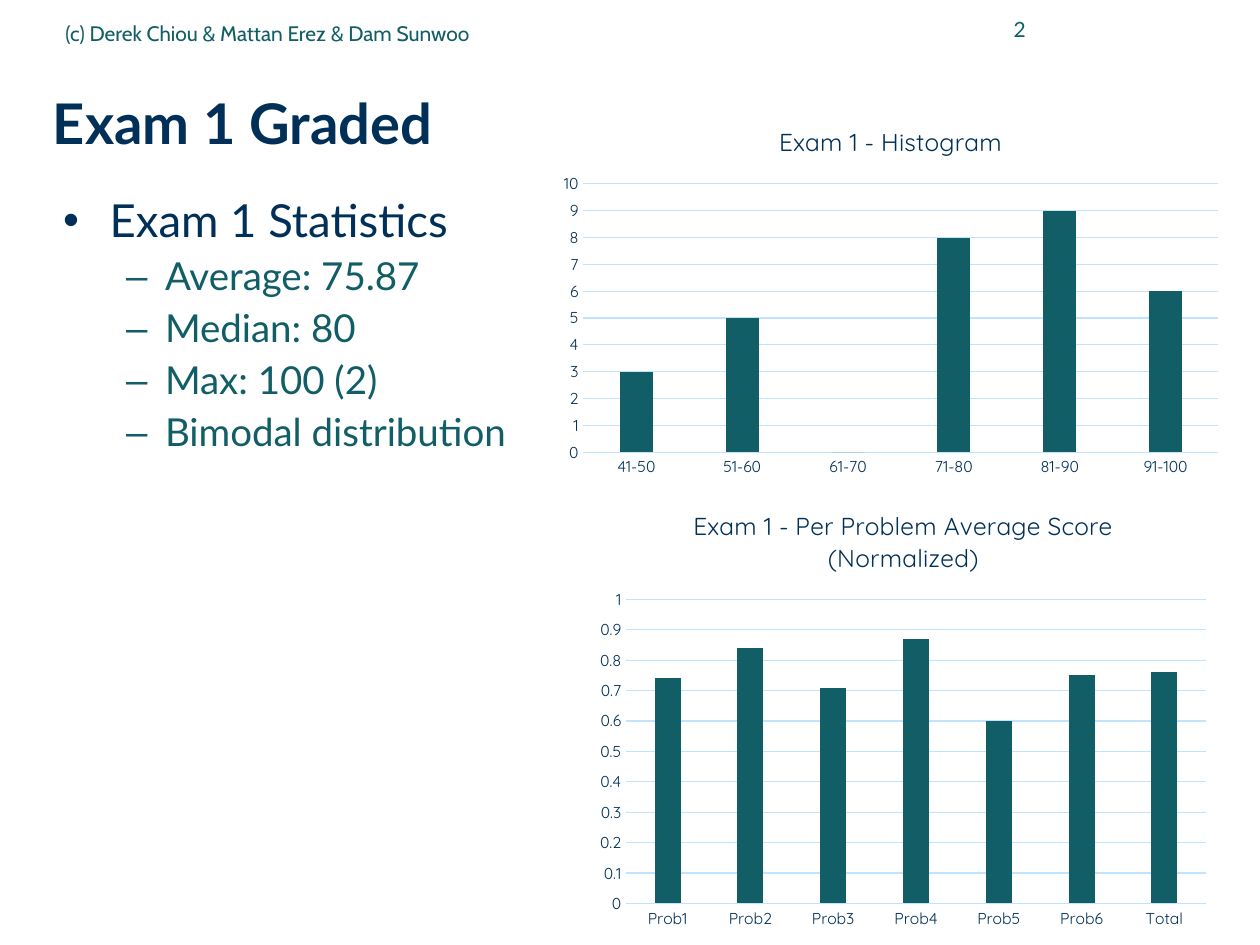
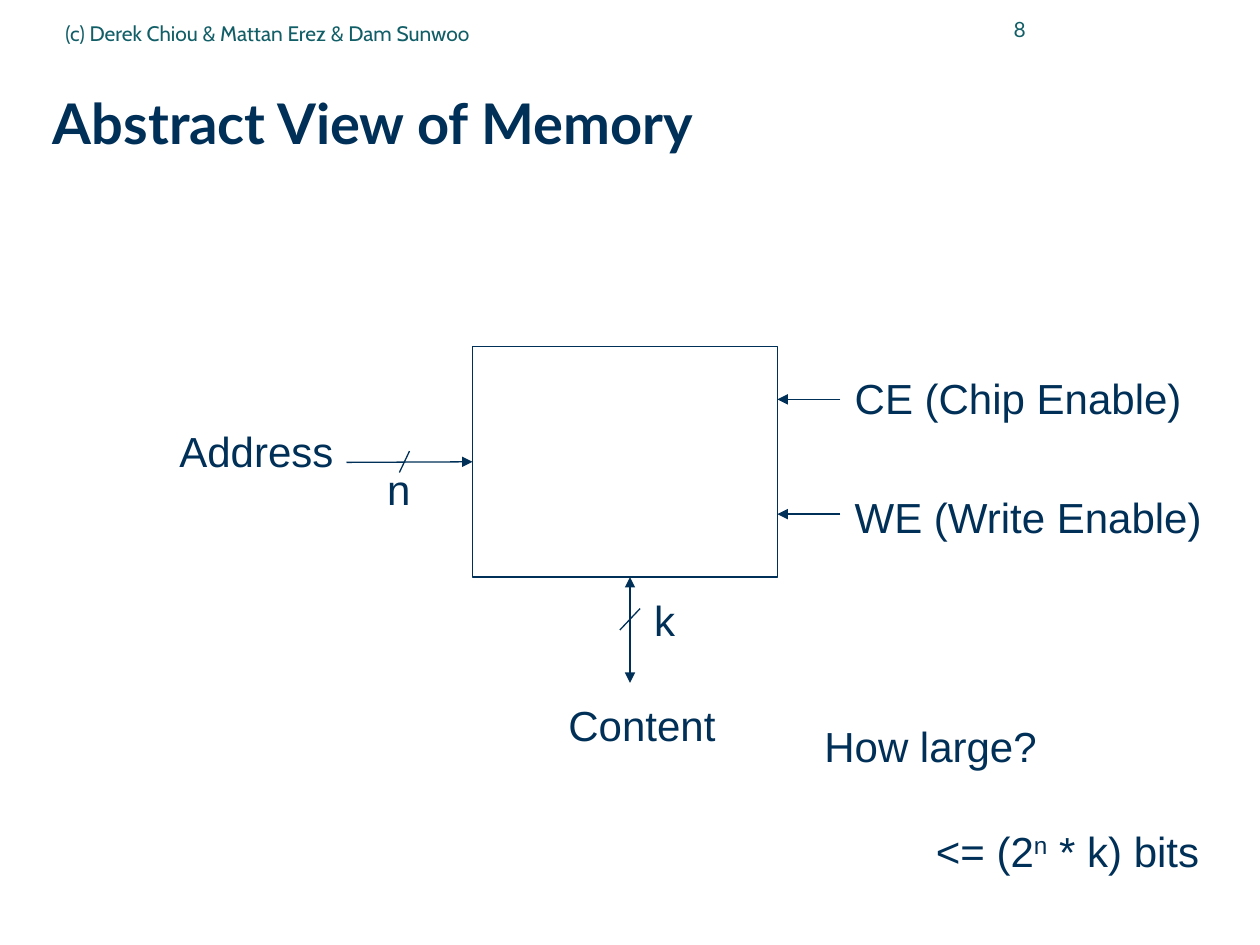
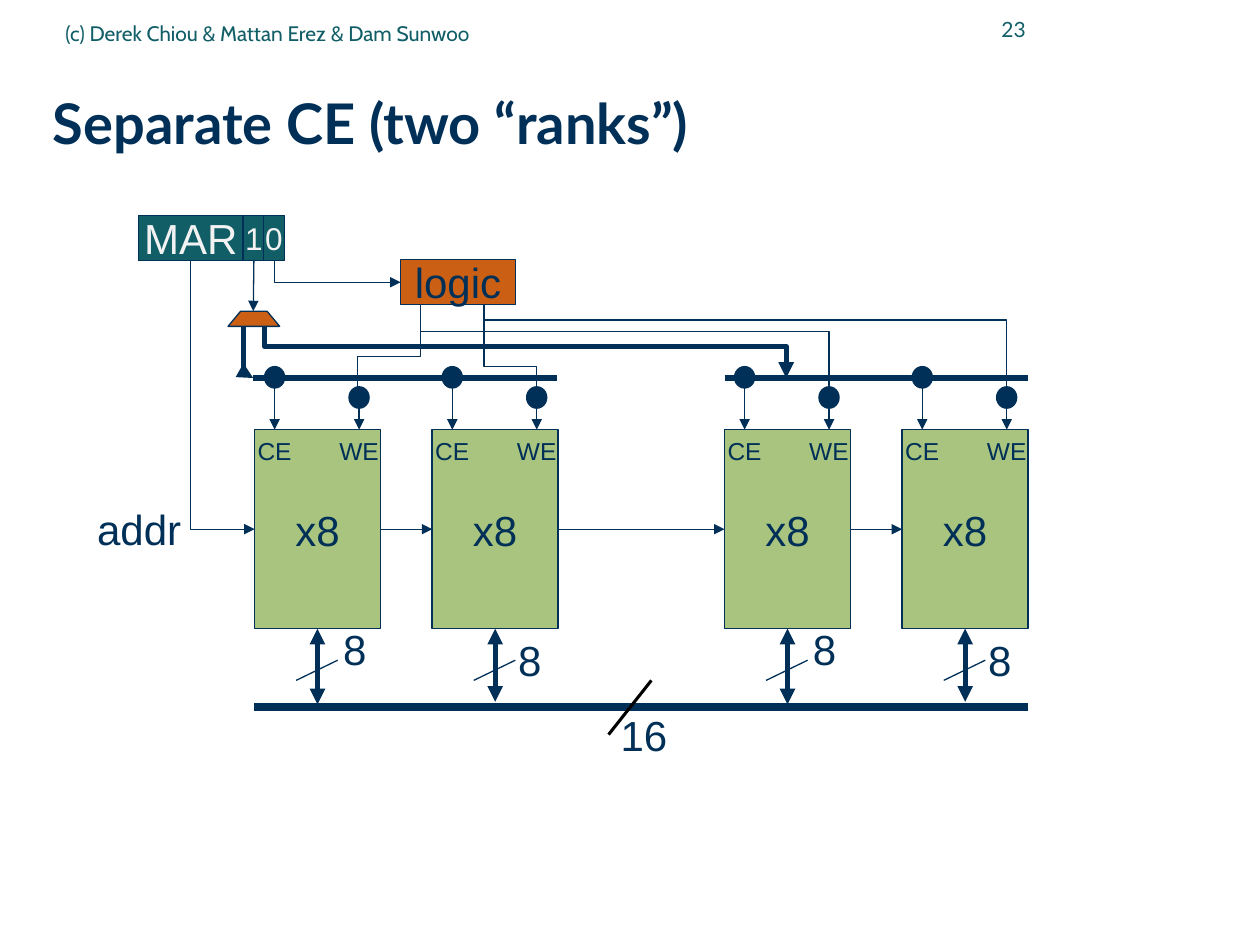
from typing import NamedTuple, Optional

from pptx import Presentation
from pptx.chart.data import CategoryChartData
from pptx.dml.color import RGBColor
from pptx.enum.chart import XL_CHART_TYPE as CHART, XL_TICK_MARK as TICK
from pptx.enum.shapes import MSO_CONNECTOR as CXN, MSO_SHAPE as SHAPE
from pptx.enum.text import MSO_ANCHOR as ANCHOR, MSO_AUTO_SIZE as FIT, PP_ALIGN as ALIGN
from pptx.oxml import parse_xml
from pptx.oxml.ns import nsdecls, qn
from pptx.util import Inches, Pt

COLORS = {
    "navy": "003057",
    "teal": "115E67",
    "green": "A9C47F",
    "orange": "CB6015",
    "pale": "F2F2F2",
    "grid": "C0E3FF",
    "black": "000000",
}
FOOTER = "(c) Derek Chiou & Mattan Erez & Dam Sunwoo"
TITLE_AND_BODY, TITLE_ONLY = 1, 5

Point = tuple[float, float]
Box = tuple[float, float, float, float]


class Bullet(NamedTuple):
    char: str
    size: float
    color: str
    margin: float
    hanging: float
    before: float


class ColumnChart(NamedTuple):
    title: str
    box: Box
    plot: Box  # fractions of the chart area
    categories: list[str]
    values: list[float]
    top: float
    step: float


class Label(NamedTuple):
    text: str
    left: float
    top: float
    width: float


class Chip(NamedTuple):
    left: float
    bus_end: float
    width_label: Point  # offset from the chip's left, and top


BULLETS = [
    Bullet("•", 26, "navy", 0.37, 0.37, 6.5),
    Bullet("–", 22, "teal", 0.81, 0.31, 6),
]
STATISTICS = [
    ("Exam 1 Statistics", 0),
    ("Average: 75.87", 1),
    ("Median: 80", 1),
    ("Max: 100 (2)", 1),
    ("Bimodal distribution", 1),
]
CHARTS = [
    ColumnChart("Exam 1 - Histogram", (4.36, 0.83, 5.42, 3), (0.05, 0.21, 0.93, 0.71),
                ["41-50", "51-60", "61-70", "71-80", "81-90", "91-100"],
                [3, 5, 0, 8, 9, 6], 10, 1),
    ColumnChart("Exam 1 - Per Problem Average Score (Normalized)",
                (4.67, 3.87, 5, 3.55), (0.06, 0.25, 0.92, 0.68),
                [f"Prob{i}" for i in range(1, 7)] + ["Total"],
                [0.74, 0.84, 0.71, 0.87, 0.6, 0.75, 0.76], 1, 0.1),
]
MEMORY_LABELS = [
    Label("Address", 1.32, 3.33, 1.43),
    Label("n", 2.97, 3.63, 0.39),
    Label("CE (Chip Enable)", 6.67, 2.91, 2.82),
    Label("WE (Write Enable)", 6.67, 3.85, 2.98),
    Label("k", 5.09, 4.67, 0.37),
    Label("How large?", 6.44, 5.67, 1.89),
    Label("Content", 4.41, 5.5, 1.37),
]
CHIP_TOP, CHIP_WIDTH, CHIP_HEIGHT = 3.41, 1, 1.58
CHIP_BOTTOM = CHIP_TOP + CHIP_HEIGHT
RAIL_Y = 3
CHIPS = [
    Chip(bank + offset, bus_end, width_label)
    for bank in (2.02, 5.75)
    for offset, bus_end, width_label in ((0, 5.59, (0.6, 4.9)), (1.41, 5.57, (0.58, 4.99)))
]


def rgb(name: str) -> RGBColor:
    return RGBColor.from_string(COLORS[name])


def inches(box: Box) -> list[int]:
    return [Inches(v) for v in box]


def set_font(font, size: float, name: str, color: str, bold: bool = False) -> None:
    font.size, font.name, font.bold = Pt(size), name, bold
    font.color.rgb = rgb(color)


def add_text(p, text: str, *, size: float = 24, font: str = "Arial", color: str = "navy",
             bold: bool = False, align=None, raised: int = 0):
    """Add a run; raised is a superscript height in percent."""
    r = p.add_run()
    r.text = text
    set_font(r.font, size, font, color, bold)
    if align is not None:
        p.alignment = align
    if raised:
        r.font._element.set("baseline", str(raised * 1000))
    return r


def clear_margins(tf) -> None:
    tf.margin_left = tf.margin_right = tf.margin_top = tf.margin_bottom = 0


def place(shape, box: Box) -> None:
    shape.left, shape.top, shape.width, shape.height = inches(box)


def text_box(s, box: Box, wrap: bool = False, grow: bool = True):
    tf = s.shapes.add_textbox(*inches(box)).text_frame
    tf.word_wrap = wrap
    tf.auto_size = FIT.SHAPE_TO_FIT_TEXT if grow else FIT.NONE
    if not grow:
        tf.vertical_anchor = ANCHOR.MIDDLE
    return tf


def add_label(s, label: Label) -> None:
    tf = text_box(s, (label.left, label.top, label.width, 0.5))
    add_text(tf.paragraphs[0], label.text, align=ALIGN.CENTER)


def style_line(shape, width: float, color: str, head: bool, tail: bool) -> None:
    shape.line.color.rgb = rgb(color)
    shape.line.width = Pt(width)
    ln = shape.element.spPr.get_or_add_ln()
    for tag, wanted in (("headEnd", head), ("tailEnd", tail)):
        if wanted:
            ln.append(parse_xml(f'<a:{tag} {nsdecls("a")} type="triangle"/>'))


def add_line(s, start: Point, end: Point, *, width: float = 0.75, color: str = "navy",
             head: bool = False, tail: bool = False, kind=CXN.STRAIGHT,
             begin: Optional[tuple] = None, finish: Optional[tuple] = None):
    """Draw a connector; begin and finish are (shape, side) joints."""
    cxn = s.shapes.add_connector(kind, *inches((*start, *end)))
    style_line(cxn, width, color, head, tail)
    cxn.element.spPr.append(parse_xml(f'<a:effectLst {nsdecls("a")}/>'))
    if begin:
        cxn.begin_connect(*begin)
    if finish:
        cxn.end_connect(*finish)
    return cxn


def add_corner_arrow(s, start: Point, end: Point, source, target) -> None:
    """Go down from the source's bottom, then right into the target's left side."""
    cxn = add_line(s, start, end, tail=True, kind=CXN.ELBOW,
                   begin=(source, 2), finish=(target, 1))
    across, down = end[0] - start[0], end[1] - start[1]
    mid_x, mid_y = start[0] + across / 2, start[1] + down / 2
    place(cxn, (mid_x - down / 2, mid_y - across / 2, down, across))
    spPr = cxn.element.spPr
    spPr.find(qn("a:prstGeom")).set("prst", "bentConnector2")
    xfrm = spPr.find(qn("a:xfrm"))
    xfrm.set("rot", str(270 * 60000))
    xfrm.set("flipH", "1")


def finish_shape(shape, fill: Optional[str], width: float = 0.75, tail: bool = False) -> None:
    shape.shadow.inherit = False
    if fill:
        shape.fill.solid()
        shape.fill.fore_color.rgb = rgb(fill)
    else:
        shape.fill.background()
    style_line(shape, width, "navy", False, tail)


def add_box(s, box: Box, fill: Optional[str] = None, text: str = "", *,
            kind=SHAPE.RECTANGLE, **text_format):
    shape = s.shapes.add_shape(kind, *inches(box))
    finish_shape(shape, fill)
    if text:
        tf = shape.text_frame
        tf.word_wrap = False
        tf.vertical_anchor = ANCHOR.MIDDLE
        add_text(tf.paragraphs[0], text, align=ALIGN.CENTER, **text_format)
    return shape


def add_path(s, points: list[Point], *, fill: Optional[str] = None, width: float = 0.75,
             tail: bool = False, close: bool = False) -> None:
    first, *rest = [(Inches(x), Inches(y)) for x, y in points]
    builder = s.shapes.build_freeform(*first)
    builder.add_line_segments(rest, close=close)
    finish_shape(builder.convert_to_shape(), fill, width, tail)


def start_slide(prs, layout: int, title: str, number: int):
    """Add a slide with its title, slide number and footer."""
    s = prs.slides.add_slide(prs.slide_layouts[layout])
    place(s.shapes.title, (0.42, 0.5, 9.41, 0.98))
    tf = s.shapes.title.text_frame
    tf.auto_size, tf.vertical_anchor = FIT.NONE, ANCHOR.MIDDLE
    clear_margins(tf)
    p = tf.paragraphs[0]
    p.line_spacing = 0.99
    add_text(p, title, size=32, font="Lato", bold=True, align=ALIGN.LEFT)

    tf = text_box(s, (7.33, -0.02, 0.91, 0.5), wrap=True, grow=False)
    add_text(tf.paragraphs[0], str(number), size=12, font="Lato", color="teal",
             align=ALIGN.RIGHT)
    tf = text_box(s, (0.42, 0.03, 5.67, 0.46), wrap=True, grow=False)
    add_text(tf.paragraphs[0], FOOTER, size=12, font="Cabin", color="teal")
    return s


def add_bullet(p, text: str, level: int) -> None:
    b = BULLETS[level]
    p.level = level
    p.line_spacing = 0.9
    p.space_before = Pt(b.before)
    add_text(p, text, size=b.size, font="Lato", color=b.color, align=ALIGN.LEFT)
    pPr = p._p.get_or_add_pPr()
    pPr.set("marL", str(Inches(b.margin)))
    pPr.set("indent", str(-Inches(b.hanging)))
    for xml in (f'<a:buClr {nsdecls("a")}><a:srgbClr val="{COLORS[b.color]}"/></a:buClr>',
                f'<a:buFont {nsdecls("a")} typeface="Arial"/>',
                f'<a:buChar {nsdecls("a")} char="{b.char}"/>'):
        pPr.append(parse_xml(xml))


def set_plot_layout(chart, plot: Box) -> None:
    area = chart.element.xpath("c:chart/c:plotArea")[0]
    for old in area.findall(qn("c:layout")):
        area.remove(old)
    sizes = "".join(f'<c:{tag} val="{v}"/>' for tag, v in zip("xywh", plot))
    area.insert(0, parse_xml(
        f'<c:layout {nsdecls("c")}><c:manualLayout><c:layoutTarget val="inner"/>'
        f'<c:xMode val="edge"/><c:yMode val="edge"/>{sizes}</c:manualLayout></c:layout>'))


def add_column_chart(s, c: ColumnChart) -> None:
    data = CategoryChartData()
    data.categories = c.categories
    data.add_series("Series 1", c.values)
    chart = s.shapes.add_chart(CHART.COLUMN_CLUSTERED, *inches(c.box), data).chart
    set_font(chart.font, 10, "Quicksand", "navy")
    chart.has_legend = False
    chart.has_title = True
    chart.chart_title.include_in_layout = False
    add_text(chart.chart_title.text_frame.paragraphs[0], c.title, size=14, font="Quicksand")

    plot = chart.plots[0]
    plot.gap_width, plot.overlap, plot.vary_by_categories = 219, -27, False
    fill = plot.series[0].format.fill
    fill.solid()
    fill.fore_color.rgb = rgb("teal")

    cat, val = chart.category_axis, chart.value_axis
    for axis in (cat, val):
        axis.major_tick_mark = axis.minor_tick_mark = TICK.NONE
        set_font(axis.tick_labels.font, 9, "Quicksand", "navy")
    val.minimum_scale, val.maximum_scale, val.major_unit = 0, c.top, c.step
    val.tick_labels.number_format = "General"
    val.tick_labels.number_format_is_linked = False
    val.has_major_gridlines = True
    val.format.line.fill.background()
    for line in (cat.format.line, val.major_gridlines.format.line):
        line.color.rgb = rgb("grid")
        line.width = Pt(0.75)
    set_plot_layout(chart, c.plot)


def add_chip(s, chip: Chip):
    x, middle = chip.left, chip.left + CHIP_WIDTH / 2
    shape = add_box(s, (x, CHIP_TOP, CHIP_WIDTH, CHIP_HEIGHT), "green", "x8")
    add_line(s, (middle, CHIP_BOTTOM), (middle, chip.bus_end), width=3, head=True,
             tail=True, begin=(shape, 2))
    add_line(s, (x + 0.66, 5.24), (x + 0.33, 5.4))
    dx, top = chip.width_label
    add_label(s, Label("8", x + dx, top, 0.39))
    for pin, pin_x, pin_y in (("CE", x + 0.16, RAIL_Y), ("WE", x + 0.83, 3.16)):
        add_line(s, (pin_x, pin_y), (pin_x, CHIP_TOP), tail=True)
        add_box(s, (pin_x - 0.08, pin_y - 0.09, 0.16, 0.17), "navy", kind=SHAPE.OVAL)
        tf = text_box(s, (pin_x - 0.33, CHIP_TOP, 0.66, 0.33), wrap=True)
        add_text(tf.paragraphs[0], pin, size=14, align=ALIGN.CENTER)
    return shape


def build_exam_slide(prs) -> None:
    s = start_slide(prs, TITLE_AND_BODY, "Exam 1 Graded", 2)
    body = s.placeholders[1]
    place(body, (0.5, 1.57, 3.92, 5.91))
    tf = body.text_frame
    tf.auto_size, tf.vertical_anchor = FIT.NONE, ANCHOR.TOP
    clear_margins(tf)
    for i, (text, level) in enumerate(STATISTICS):
        add_bullet(tf.add_paragraph() if i else tf.paragraphs[0], text, level)
    for chart in CHARTS:
        add_column_chart(s, chart)


def build_memory_slide(prs) -> None:
    s = start_slide(prs, TITLE_ONLY, "Abstract View of Memory", 8)
    memory = add_box(s, (3.75, 2.75, 2.42, 1.83))
    add_line(s, (2.75, 3.67), (3.75, 3.67), tail=True, finish=(memory, 1))
    add_line(s, (3.25, 3.58), (3.17, 3.75))
    add_line(s, (5, 4.58), (5, 5.42), head=True, tail=True)
    add_line(s, (5.08, 4.83), (4.92, 5))
    for y in (3.17, 4.08):
        add_line(s, (6.67, y), (6.17, y), tail=True)
    for label in MEMORY_LABELS:
        add_label(s, label)
    p = text_box(s, (7.33, 6.5, 2.33, 0.5)).paragraphs[0]
    for text, raised in (("<= (2", 0), ("n", 30), (" * k) bits", 0)):
        add_text(p, text, raised=raised)


def build_ranks_slide(prs) -> None:
    s = start_slide(prs, TITLE_ONLY, "Separate CE (two “ranks”)", 23)
    chips = [add_chip(s, chip) for chip in CHIPS]
    y = CHIP_TOP + CHIP_HEIGHT / 2
    for i in range(len(chips) - 1):
        add_line(s, (CHIPS[i].left + CHIP_WIDTH, y), (CHIPS[i + 1].left, y), tail=True,
                 begin=(chips[i], 3), finish=(chips[i + 1], 1))
    add_label(s, Label("addr", 0.67, 3.95, 0.87))

    mar, bit1, bit0 = [
        add_box(s, (left, 1.71, width, 0.36), "teal", text, size=size, color="pale")
        for text, left, width, size in (("MAR", 1.1, 0.83, 24), ("1", 1.93, 0.17, 18),
                                        ("0", 2.09, 0.17, 18))
    ]
    logic = add_box(s, (3.18, 2.06, 0.91, 0.36), "orange", "logic")
    add_corner_arrow(s, (1.51, 2.07), (2.02, y), mar, chips[0])
    add_corner_arrow(s, (2.18, 2.07), (3.18, 2.24), bit0, logic)
    add_path(s, [(1.81, 2.59), (1.91, 2.47), (2.12, 2.47), (2.22, 2.59)],
             fill="orange", close=True)
    add_line(s, (2.01, 2.07), (2.01, 2.47), tail=True, begin=(bit1, 2))

    for left, right in ((2.01, 4.42), (5.75, 8.16)):
        add_line(s, (left, RAIL_Y), (right, RAIL_Y), width=3)
    for select in ([(1.93, 2.59), (1.93, RAIL_Y), (2.01, RAIL_Y)],
                   [(2.1, 2.59), (2.1, 2.75), (6.24, 2.75), (6.24, RAIL_Y)]):
        add_path(s, select, width=3, tail=True)
    for write_enable in ([(3.34, 2.42), (3.34, 2.83), (2.84, 2.83), (2.84, 3.16)],
                         [(3.84, 2.42), (3.84, 2.91), (4.26, 2.91), (4.26, 3.16)],
                         [(3.34, 2.63), (6.58, 2.63), (6.58, 3.12)],
                         [(3.84, 2.54), (7.99, 2.54), (7.99, 3.12)]):
        add_path(s, write_enable)

    add_line(s, (2.02, 5.61), (8.16, 5.61), width=4.5)
    add_line(s, (4.83, 5.83), (5.17, 5.4), width=1.75, color="black")
    add_label(s, Label("16", 4.82, 5.58, 0.58))


def main() -> None:
    prs = Presentation()
    prs.slide_width, prs.slide_height = Inches(10), Inches(7.5)
    build_exam_slide(prs)
    build_memory_slide(prs)
    build_ranks_slide(prs)
    prs.save("out.pptx")


if __name__ == "__main__":
    main()
